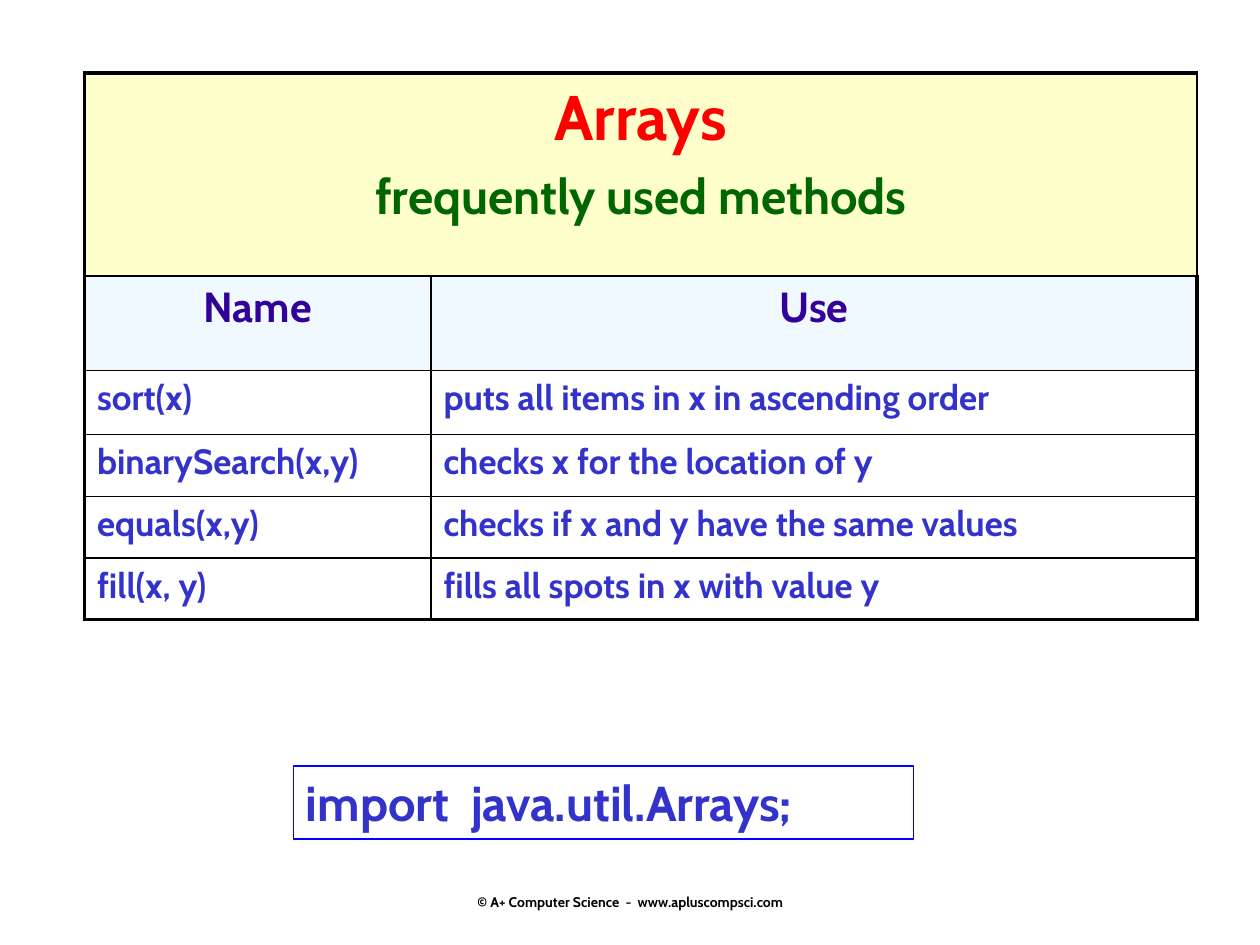
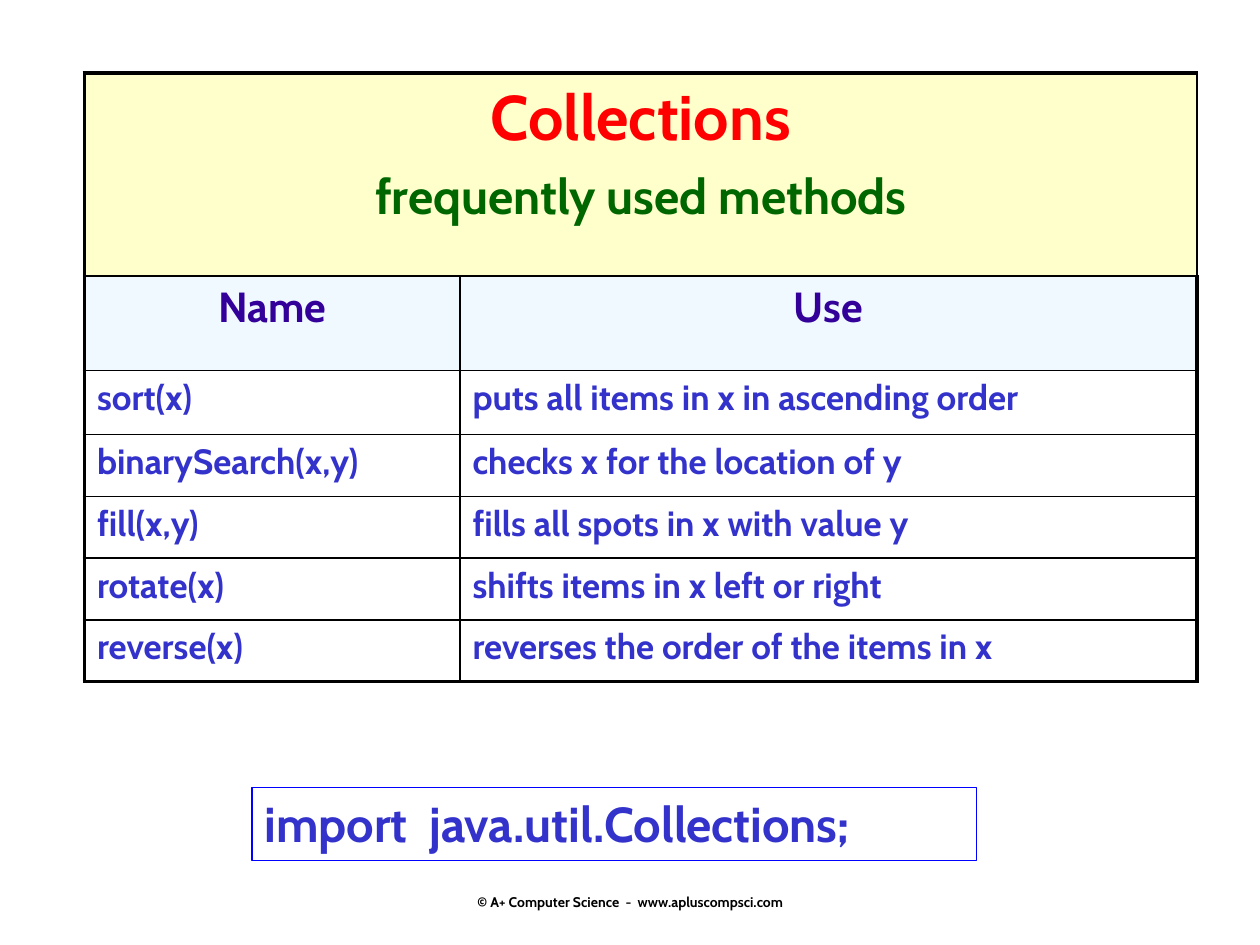
from dataclasses import dataclass

from lxml import etree
from pptx import Presentation
from pptx.dml.color import RGBColor
from pptx.enum.shapes import MSO_SHAPE
from pptx.enum.text import MSO_ANCHOR, PP_ALIGN
from pptx.oxml.ns import qn
from pptx.util import Inches, Pt

RECTANGLE = MSO_SHAPE.RECTANGLE
TOP = MSO_ANCHOR.TOP
CENTER, LEFT = PP_ALIGN.CENTER, PP_ALIGN.LEFT
BLANK_LAYOUT = 6


@dataclass(frozen=True)
class Theme:
    font: str = "Cabin"
    black: str = "000000"
    class_name: str = "FF0000"
    subtitle: str = "006600"
    heading: str = "330099"
    body: str = "3333CC"
    banner_fill: str = "FFFFCC"
    heading_fill: str = "F0F9FF"
    box_line: str = "0000FF"
    class_size: int = 36
    subtitle_size: int = 28
    heading_size: int = 24
    body_size: int = 20
    import_size: int = 28
    footer_size: int = 8
    outer_line: float = 2.25
    inner_line: float = 1


THEME = Theme()
TABLE_LEFT, TABLE_TOP, TABLE_WIDTH = 0.67, 0.58, 8.83
BANNER_HEIGHT, HEADING_HEIGHT, FIRST_METHOD_HEIGHT, METHOD_HEIGHT = 1.61, 0.75, 0.51, 0.49
IMPORT_HEIGHT = 0.58
FOOTER = "© A+ Computer Science  -  www.apluscompsci.com"

PAGES = [
    {
        "class_name": "Arrays",
        "name_width": 2.75,
        "import_box": (2.33, 6.08, 4.92),
        "methods": [
            ("sort(x)", "puts all items in x in ascending order"),
            ("binarySearch(x,y)", "checks x for the location of y"),
            ("equals(x,y)", "checks if x and y have the same values"),
            ("fill(x, y)", "fills all spots in x with value y"),
        ],
    },
    {
        "class_name": "Collections",
        "name_width": 2.98,
        "import_box": (2, 6.25, 5.75),
        "methods": [
            ("sort(x)", "puts all items in x in ascending order"),
            ("binarySearch(x,y)", "checks x for the location of y"),
            ("fill(x,y)", "fills all spots in x with value y"),
            ("rotate(x)", "shifts items in x left or right"),
            ("reverse(x)", "reverses the order of the items in x"),
        ],
    },
]


def write(paragraph, text, size, color, alignment=LEFT):
    paragraph.text = text
    paragraph.alignment = alignment
    font = paragraph.font
    font.name, font.size, font.bold = THEME.font, Pt(size), True
    font.color.rgb = RGBColor.from_string(color)


def add_border(cell, side, width):
    line = etree.SubElement(cell._tc.get_or_add_tcPr(), qn(f"a:ln{side}"), w=str(Pt(width)))
    fill = etree.SubElement(line, qn("a:solidFill"))
    etree.SubElement(fill, qn("a:srgbClr"), val=THEME.black)


def add_borders(table):
    """Give the table a heavy outline and thin inner lines."""
    last_row, last_column = len(table.rows) - 1, len(table.columns) - 1
    for row in range(last_row + 1):
        for column in range(last_column + 1):
            on_outline = {
                "L": column == 0,
                "R": column == last_column,
                "T": row == 0,
                "B": row == last_row,
            }
            for side, outer in on_outline.items():
                width = THEME.outer_line if outer else THEME.inner_line
                add_border(table.cell(row, column), side, width)


def fill_cell(cell, color):
    cell.fill.solid()
    cell.fill.fore_color.rgb = RGBColor.from_string(color)


def add_method_table(slide, class_name, name_width, methods):
    heights = [BANNER_HEIGHT, HEADING_HEIGHT, FIRST_METHOD_HEIGHT]
    heights += [METHOD_HEIGHT] * (len(methods) - 1)
    table = slide.shapes.add_table(
        len(heights), 2, Inches(TABLE_LEFT), Inches(TABLE_TOP),
        Inches(TABLE_WIDTH), Inches(sum(heights)),
    ).table
    table.first_row = table.horz_banding = False
    for row, height in zip(table.rows, heights):
        row.height = Inches(height)
    for column, width in zip(table.columns, (name_width, TABLE_WIDTH - name_width)):
        column.width = Inches(width)
    add_borders(table)

    banner = table.cell(0, 0)
    banner.merge(table.cell(0, 1))
    fill_cell(banner, THEME.banner_fill)
    frame = banner.text_frame
    write(frame.paragraphs[0], class_name, THEME.class_size, THEME.class_name, CENTER)
    subtitle = frame.add_paragraph()
    write(subtitle, "frequently used methods", THEME.subtitle_size, THEME.subtitle, CENTER)
    subtitle.space_before = Pt(6.5)

    for column, heading in enumerate(("Name", "Use")):
        cell = table.cell(1, column)
        fill_cell(cell, THEME.heading_fill)
        write(cell.text_frame.paragraphs[0], heading, THEME.heading_size, THEME.heading, CENTER)

    for row, method in enumerate(methods, start=2):
        for column, text in enumerate(method):
            cell = table.cell(row, column)
            cell.fill.background()
            write(cell.text_frame.paragraphs[0], text, THEME.body_size, THEME.body)


def add_import_box(slide, class_name, left, top, width):
    box = slide.shapes.add_shape(
        RECTANGLE, Inches(left), Inches(top), Inches(width), Inches(IMPORT_HEIGHT)
    )
    box.shadow.inherit = False
    box.fill.background()
    box.line.color.rgb = RGBColor.from_string(THEME.box_line)
    box.line.width = Pt(THEME.inner_line)
    box.text_frame.vertical_anchor = TOP
    write(box.text_frame.paragraphs[0], f"import  java.util.{class_name};",
          THEME.import_size, THEME.body)


def add_footer(slide):
    box = slide.shapes.add_textbox(Inches(3.42), Inches(6.83), Inches(3.17), Inches(0.53))
    frame = box.text_frame
    frame.word_wrap = False
    frame.vertical_anchor = TOP
    frame.margin_top, frame.margin_bottom = Inches(0.39), 0
    write(frame.paragraphs[0], FOOTER, THEME.footer_size, THEME.black, CENTER)


def main():
    presentation = Presentation()
    presentation.slide_width, presentation.slide_height = Inches(10), Inches(7.5)
    for page in PAGES:
        slide = presentation.slides.add_slide(presentation.slide_layouts[BLANK_LAYOUT])
        add_footer(slide)
        add_method_table(slide, page["class_name"], page["name_width"], page["methods"])
        add_import_box(slide, page["class_name"], *page["import_box"])
    presentation.save("out.pptx")


if __name__ == "__main__":
    main()
